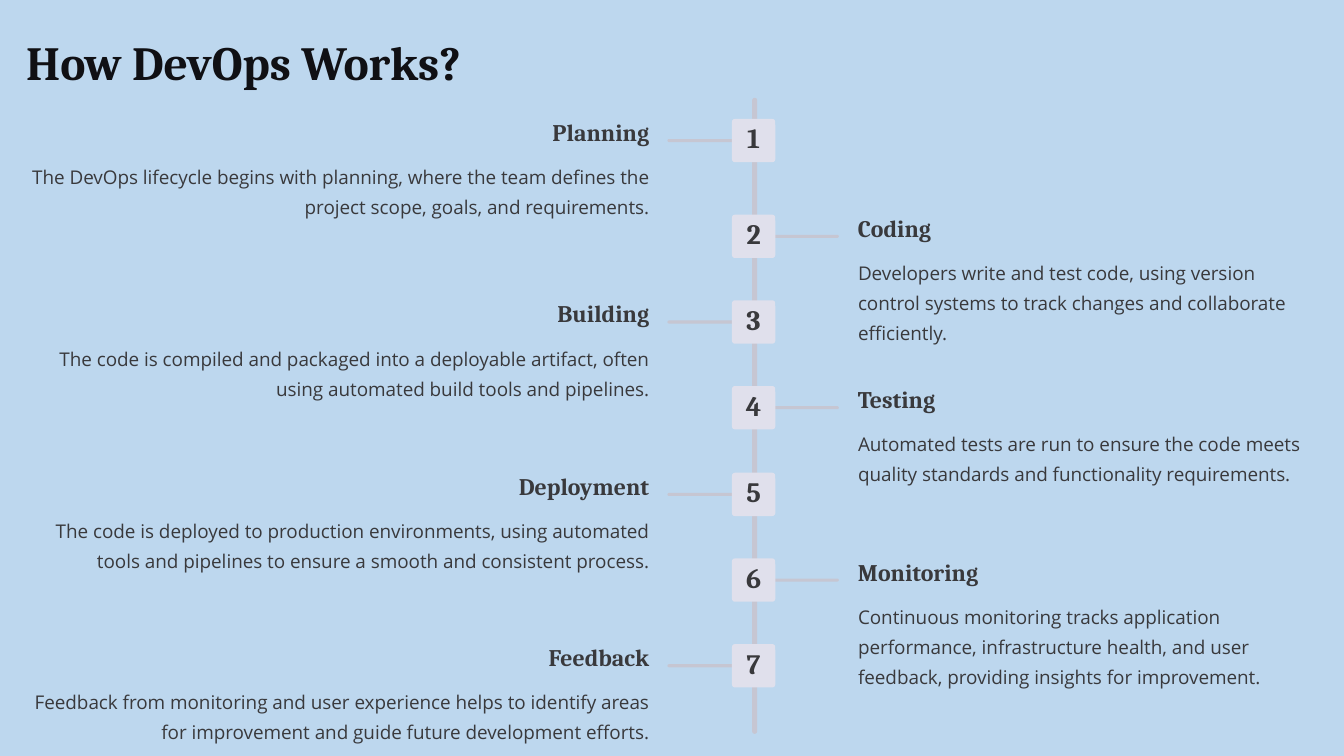
import pptx
import pptx.dml.color
import pptx.enum.shapes
import pptx.enum.text
import pptx.util

RGBColor = pptx.dml.color.RGBColor
ALIGN = pptx.enum.text.PP_ALIGN
ANCHOR = pptx.enum.text.MSO_ANCHOR

SKY = RGBColor(0xBD, 0xD7, 0xEE)
BLACK = RGBColor(0x10, 0x10, 0x14)
GRAPHITE = RGBColor(0x39, 0x39, 0x3C)
LINE_GRAY = RGBColor(0xC6, 0xC6, 0xD2)
BADGE_GRAY = RGBColor(0xE0, 0xE0, 0xEC)

PX = 9144  # EMU, 100 px to the inch
BADGE = 43
FIRST_TOP, SECOND_TOP, STEP_PITCH = 118, 213, 85.2

STEPS = [
    ("Planning", "The DevOps lifecycle begins with planning, where the team defines "
     "the project scope, goals, and requirements."),
    ("Coding", "Developers write and test code, using version control systems "
     "to track changes and collaborate efficiently."),
    ("Building", "The code is compiled and packaged into a deployable artifact, "
     "often using automated build tools and pipelines."),
    ("Testing", "Automated tests are run to ensure the code meets quality "
     "standards and functionality requirements."),
    ("Deployment", "The code is deployed to production environments, using automated "
     "tools and pipelines to ensure a smooth and consistent process."),
    ("Monitoring", "Continuous monitoring tracks application performance, "
     "infrastructure health, and user feedback, providing insights for improvement."),
    ("Feedback", "Feedback from monitoring and user experience helps to identify "
     "areas for improvement and guide future development efforts."),
]

deck = pptx.Presentation()
deck.slide_width, deck.slide_height = 1333 * PX, 750 * PX
page = deck.slides.add_slide(deck.slide_layouts[5])
page.background.fill.solid()
page.background.fill.fore_color.rgb = SKY


def add_bar(left, top, width, height, color, rounding):
    """Add a plain filled rounded rectangle and return it."""
    bar = page.shapes.add_shape(
        pptx.enum.shapes.MSO_SHAPE.ROUNDED_RECTANGLE,
        left * PX, top * PX, width * PX, height * PX)
    bar.adjustments[0] = rounding
    bar.shadow.inherit = False
    bar.fill.solid()
    bar.fill.fore_color.rgb = color
    bar.line.fill.background()
    return bar


def write(box, text, size, leading, align, font="Cambria", bold=True,
          color=GRAPHITE, anchor=ANCHOR.TOP):
    """Fill a shape with one paragraph, without margins."""
    frame = box.text_frame
    frame.margin_left = frame.margin_top = frame.margin_right = frame.margin_bottom = 0
    frame.word_wrap = True
    frame.auto_size = pptx.enum.text.MSO_AUTO_SIZE.NONE
    frame.vertical_anchor = anchor
    para = frame.paragraphs[0]
    para.alignment = align
    para.line_spacing = pptx.util.Pt(leading)
    span = para.add_run()
    span.text = text
    span.font.name = font
    span.font.size = pptx.util.Pt(size)
    span.font.bold = bold
    span.font.color.rgb = color


title = page.shapes.title
title.left, title.top, title.width, title.height = 26 * PX, 30 * PX, 473 * PX, 59 * PX
write(title, "How DevOps Works?", 34, 42.5, ALIGN.LEFT, color=BLACK)

add_bar(746, 97, 5, 631, LINE_GRAY, 0.5)

for index, (heading, description) in enumerate(STEPS):
    top = round(SECOND_TOP + (index - 1) * STEP_PITCH) if index else FIRST_TOP
    if index % 2 == 0:
        branch_left, heading_left, body_left, body_width = 662, 407, 14, 630
        align = ALIGN.RIGHT
    else:
        branch_left, heading_left, body_left, body_width = 766, 851, 851, 459
        align = ALIGN.LEFT

    add_bar(branch_left, top + 20, 66, 3, LINE_GRAY, 0.5)
    badge = add_bar(726, top, BADGE, BADGE, BADGE_GRAY, 0.067)
    write(badge, str(index + 1), 20, 20, ALIGN.CENTER, anchor=ANCHOR.MIDDLE)

    heading_box = page.shapes.add_textbox(
        heading_left * PX, (top - 2) * PX, 237 * PX, 30 * PX)
    write(heading_box, heading, 17, 21, align)
    body_box = page.shapes.add_textbox(
        body_left * PX, (top + 39) * PX, body_width * PX, 61 * PX)
    write(body_box, description, 13.5, 21.5, align, font="Open Sans", bold=False)

deck.save("out.pptx")
